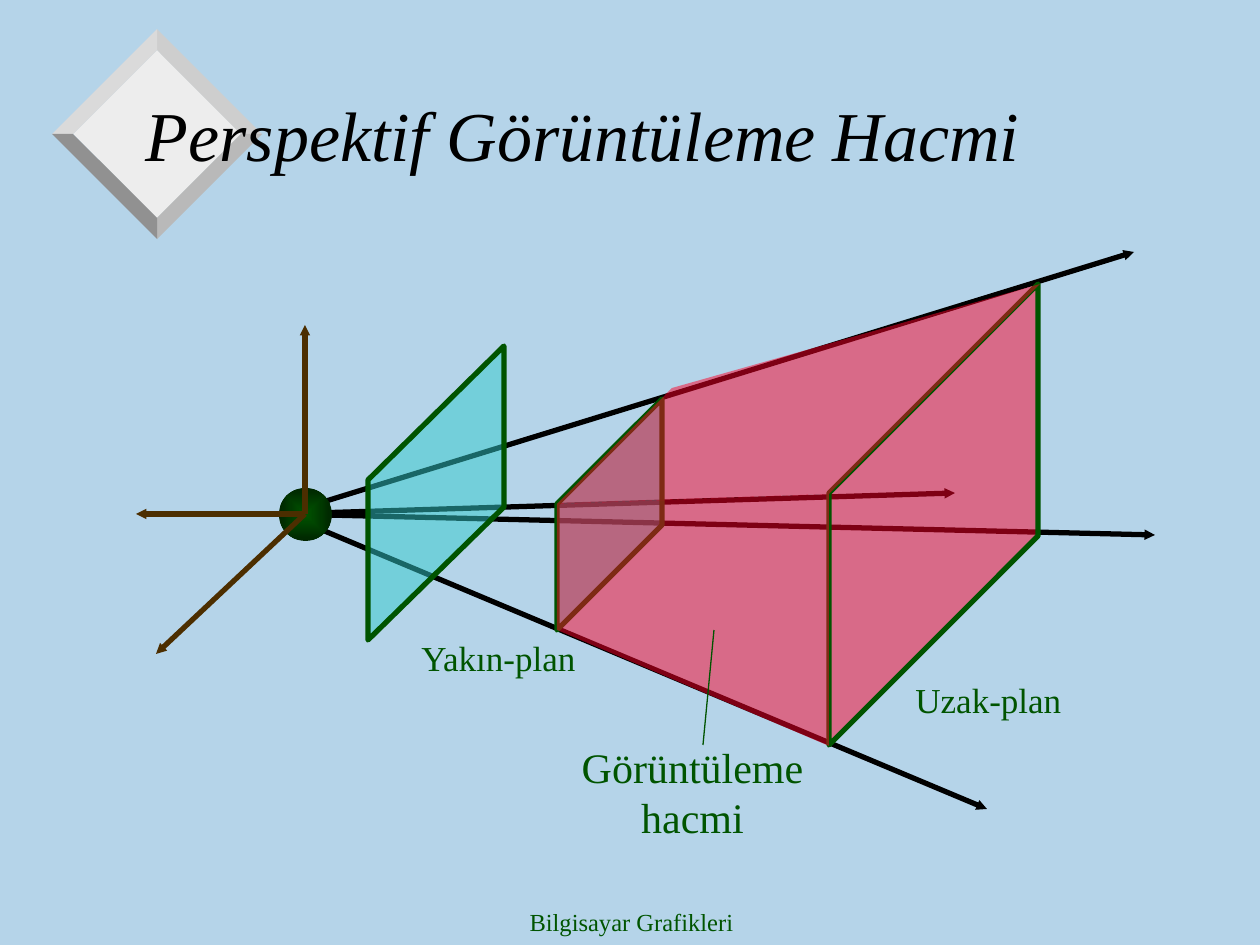
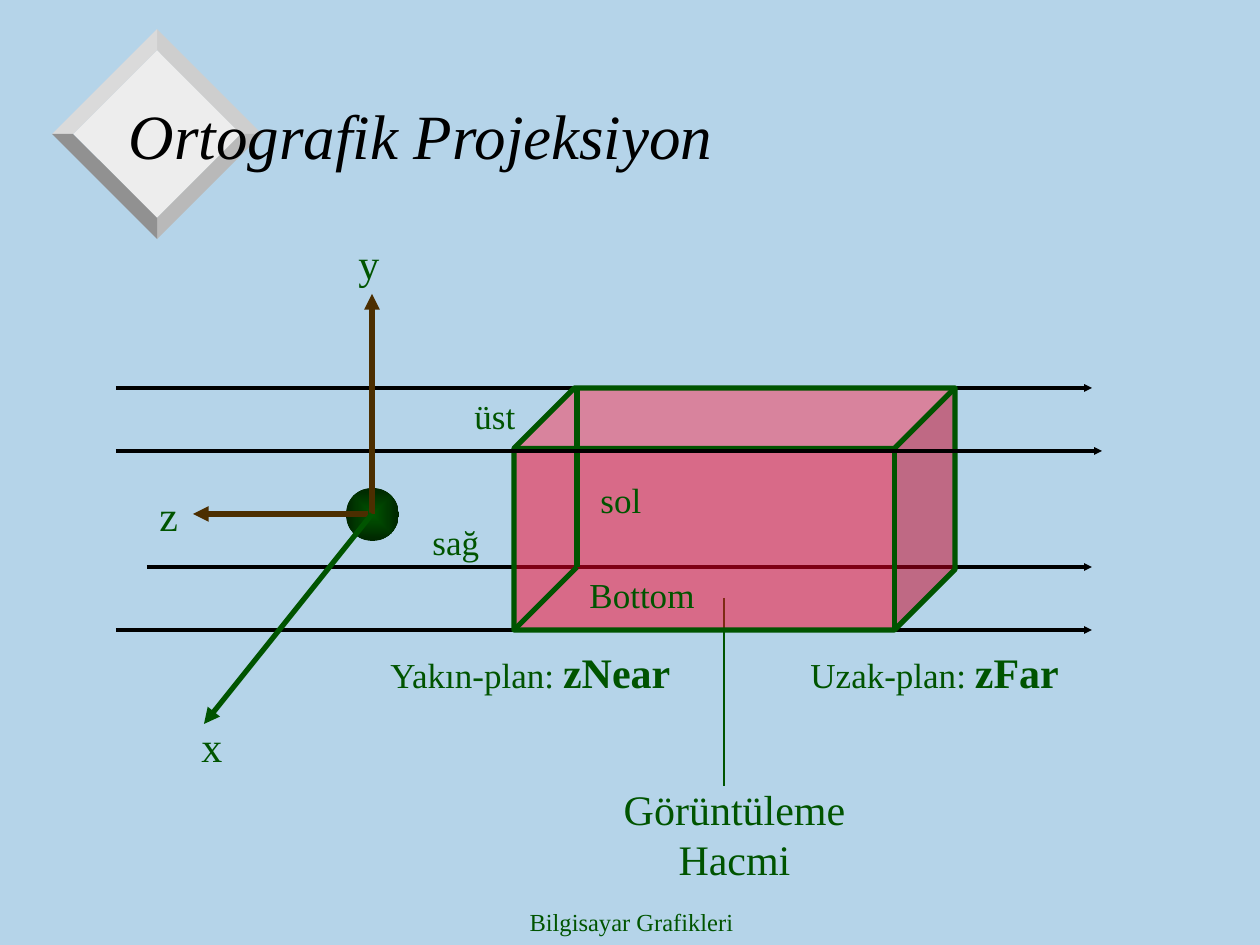
from dataclasses import dataclass

from lxml import etree
from pptx import Presentation
from pptx.dml.color import RGBColor
from pptx.enum.shapes import MSO_CONNECTOR, MSO_SHAPE
from pptx.enum.text import MSO_ANCHOR, MSO_AUTO_SIZE, PP_ALIGN
from pptx.oxml.ns import qn
from pptx.util import Pt

STRAIGHT = MSO_CONNECTOR.STRAIGHT
CUBE, OVAL = MSO_SHAPE.CUBE, MSO_SHAPE.OVAL
LEFT, CENTER = PP_ALIGN.LEFT, PP_ALIGN.CENTER
MIDDLE = MSO_ANCHOR.MIDDLE
NO_FIT = MSO_AUTO_SIZE.NONE

SCALE = 914400 / 126  # EMU per px
TITLE_ONLY = 5
FONT = "Times New Roman"
SKY, BLACK, GREEN, DARK_GREEN = "B5D4E9", "000000", "005400", "002600"
BROWN, CYAN, RED = "4C2E00", "33CCCC", "FC0128"

# Bevelled diamond behind the title: facets as (side x, side y, colour)
DIAMOND_X, DIAMOND_Y, OUTER, INNER = 157, 134, 105, 84
DIAMOND_FACE = "EDEDED"
FACETS = [(1, -1, "CECECE"), (-1, -1, "DADADA"), (1, 1, "B9B9B9"), (-1, 1, "919191")]

Point = tuple[int, int]


@dataclass
class Span:
    text: str
    size: int
    bold: bool = False


@dataclass
class Label:
    spans: list[Span]
    box: tuple[int, int, int, int]
    align: PP_ALIGN = LEFT


@dataclass
class Arrow:
    start: Point
    end: Point
    color: str = BLACK
    width: float = 3
    head: str = "sm"  # an empty string draws a plain line


@dataclass
class Face:
    points: list[Point]
    fill: str
    outline: str = GREEN
    alpha: int = 50


@dataclass
class Sphere:
    left: int
    top: int = 488
    size: int = 53


def px(length: float) -> int:
    return round(length * SCALE)


def rgb(color: str) -> RGBColor:
    return RGBColor.from_string(color)


def write_text(frame, spans: list[Span], *, color: str = GREEN, align=LEFT,
               italic: bool = False) -> None:
    frame.word_wrap = True
    para = frame.paragraphs[0]
    para.alignment = align
    for span in spans:
        run = para.add_run()
        run.text = span.text
        run.font.name = FONT
        run.font.size = Pt(span.size)
        run.font.bold = span.bold
        run.font.italic = italic
        run.font.color.rgb = rgb(color)


def paint(shape, fill: str, outline: str, alpha: int) -> None:
    shape.shadow.inherit = False
    shape.fill.solid()
    shape.fill.fore_color.rgb = rgb(fill)
    if alpha < 100:
        solid = shape.element.spPr.find(qn("a:solidFill"))
        etree.SubElement(solid[0], qn("a:alpha"), val=str(alpha * 1000))
    if outline:
        shape.line.color.rgb = rgb(outline)
        shape.line.width = Pt(3)
    else:
        shape.line.fill.background()


def draw_label(page, label: Label) -> None:
    box = page.shapes.add_textbox(*map(px, label.box))
    write_text(box.text_frame, label.spans, align=label.align)


def draw_arrow(page, arrow: Arrow) -> None:
    line = page.shapes.add_connector(STRAIGHT, *map(px, arrow.start + arrow.end))
    line.line.color.rgb = rgb(arrow.color)
    line.line.width = Pt(arrow.width)
    properties = line.element.spPr
    if arrow.head:
        etree.SubElement(properties.find(qn("a:ln")), qn("a:tailEnd"),
                         type="triangle", w=arrow.head, len=arrow.head)
    etree.SubElement(properties, qn("a:effectLst"))


def draw_face(page, face: Face) -> None:
    builder = page.shapes.build_freeform(*face.points[0], scale=SCALE)
    builder.add_line_segments(face.points[1:], close=True)
    paint(builder.convert_to_shape(), face.fill, face.outline, face.alpha)


def draw_sphere(page, sphere: Sphere) -> None:
    ball = page.shapes.add_shape(OVAL, *map(px, (sphere.left, sphere.top, sphere.size, sphere.size)))
    ball.shadow.inherit = False
    ball.line.fill.background()
    ball.fill.gradient()
    for stop, color in zip(ball.fill.gradient_stops, (GREEN, DARK_GREEN)):
        stop.color.rgb = rgb(color)
    # Radiate from the centre instead of along a line
    gradient = ball.element.spPr.find(qn("a:gradFill"))
    gradient.remove(gradient.find(qn("a:lin")))
    radial = etree.SubElement(gradient, qn("a:path"), {"path": "rect"})
    etree.SubElement(radial, qn("a:fillToRect"), dict.fromkeys("ltrb", "50000"))


DRAWERS = {Label: draw_label, Arrow: draw_arrow, Face: draw_face, Sphere: draw_sphere}


def draw_all(page, items: list) -> None:
    for item in items:
        DRAWERS[type(item)](page, item)


def add_page(deck, title: str, *, size: int, indent: int = 13):
    """Add a page with the diamond, the footer and the title."""
    page = deck.slides.add_slide(deck.slide_layouts[TITLE_ONLY])
    x, y = DIAMOND_X, DIAMOND_Y
    corners = [(x, y - INNER), (x - INNER, y), (x, y + INNER), (x + INNER, y)]
    draw_face(page, Face(corners, DIAMOND_FACE, "", 100))
    for side_x, side_y, color in FACETS:
        corners = [(x, y + side_y * INNER), (x, y + side_y * OUTER),
                   (x + side_x * OUTER, y), (x + side_x * INNER, y)]
        draw_face(page, Face(corners, color, "", 100))
    draw_label(page, Label([Span("Bilgisayar Grafikleri", 14)], (432, 901, 399, 44), CENTER))

    heading = page.shapes.title
    heading.left, heading.top, heading.width, heading.height = map(px, (116, 58, 1071, 152))
    frame = heading.text_frame
    frame.auto_size = NO_FIT
    frame.vertical_anchor = MIDDLE
    frame.margin_left = px(indent)
    write_text(frame, [Span(title, size)], color=BLACK, italic=True)
    # Bring the title in front of the diamond
    page.shapes.element.append(heading.element)
    return page


def build_perspective(deck) -> None:
    page = add_page(deck, "Perspektif Görüntüleme Hacmi", size=40, indent=30)
    eye, axes_origin = (284, 514), (305, 514)

    # Rays from the eye
    ray_ends = [(1134, 252), (1155, 535), (987, 809), (955, 493)]
    draw_all(page, [Arrow(eye, end) for end in ray_ends])

    # Viewing volume between the near and far planes
    draw_all(page, [
        Face([(557, 630), (557, 504), (662, 399), (662, 525)], CYAN),
        Face([(829, 745), (829, 493), (1038, 284), (1038, 536)], RED),
        Label([Span("Yakın-plan", 20)], (409, 630, 200, 55)),
        Label([Span("Uzak-plan", 20)], (903, 672, 210, 55)),
        Face([(557, 504), (672, 388), (1040, 284), (829, 494)], RED, ""),
        Face([(557, 504), (557, 630), (829, 746), (829, 494)], RED, ""),
        Label([Span("Görüntüleme hacmi", 24)], (535, 735, 315, 113), CENTER),
        Arrow((714, 630), (703, 745), GREEN, 0.75, ""),
    ])

    # Eye, its axes and the projection plane
    draw_sphere(page, Sphere(279))
    axis_ends = [(305, 325), (156, 654), (136, 514)]
    draw_all(page, [Arrow(axes_origin, end, BROWN) for end in axis_ends])
    draw_face(page, Face([(368, 640), (368, 480), (504, 346), (504, 507)], CYAN))


def build_orthographic(deck) -> None:
    page = add_page(deck, "Ortografik Projeksiyon", size=36)
    back_top, front_top, back_bottom, front_bottom = 388, 451, 567, 630

    # Parallel rays behind the volume and its captions
    ray_starts = [(116, back_top), (147, back_bottom), (116, front_bottom)]
    draw_all(page, [Arrow((x, y), (1092, y), width=2.25) for x, y in ray_starts])
    draw_all(page, [
        Label([Span("Yakın-plan: ", 20), Span("zNear", 24, True)], (378, 640, 325, 63)),
        Label([Span("Uzak-plan: ", 20), Span("zFar", 24, True)], (798, 640, 294, 63)),
        Label([Span("Görüntüleme Hacmi", 24)], (577, 777, 315, 113), CENTER),
        Arrow((724, 598), (724, 786), GREEN, 0.75, ""),
    ])

    # Viewing volume with its hidden edges
    volume = page.shapes.add_shape(CUBE, *map(px, (514, back_top, 441, front_bottom - back_top)))
    volume.adjustments[0] = 0.25
    paint(volume, RED, GREEN, 50)
    hidden_corner = (577, back_bottom)
    draw_all(page, [
        Arrow((577, back_top), hidden_corner, GREEN, head=""),
        Arrow(hidden_corner, (514, front_bottom), GREEN, head=""),
        Arrow((116, front_top), (1102, front_top), width=2.25),
    ])

    # Side names
    sides = [("sol", 588, 472, 84), ("sağ", 420, 514, 95), ("üst", 462, 388, 84),
             ("Bottom", 577, 567, 147)]
    for name, left, top, width in sides:
        draw_label(page, Label([Span(name, 20)], (left, top, width, 55)))

    # Eye and its named axes
    draw_all(page, [
        Sphere(346),
        Arrow((372, 514), (372, 294), BROWN, head="med"),
        Arrow((368, 514), (193, 514), BROWN, head="med"),
        Arrow((372, 514), (204, 724), GREEN, head="med"),
    ])
    for name, left, top in [("x", 189, 714), ("y", 346, 231), ("z", 147, 483)]:
        draw_label(page, Label([Span(name, 24)], (left, top, 63, 63)))


def main() -> None:
    deck = Presentation()
    deck.slide_width, deck.slide_height = px(1260), px(945)
    background = deck.slide_master.background.fill
    background.solid()
    background.fore_color.rgb = rgb(SKY)
    build_perspective(deck)
    build_orthographic(deck)
    deck.save("out.pptx")


if __name__ == "__main__":
    main()
